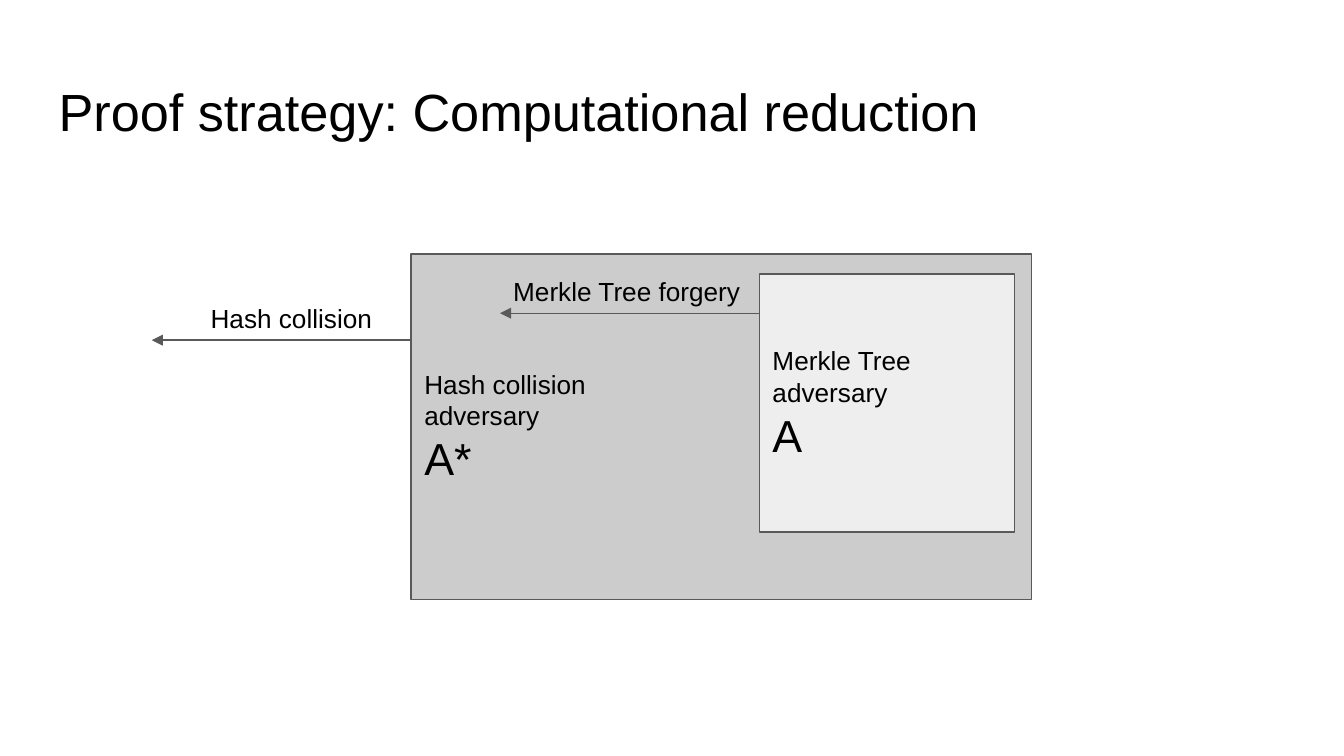
"""Build a slide on proof by computational reduction."""
from lxml.etree import SubElement
from pptx import Presentation
from pptx.dml.color import RGBColor
from pptx.enum.shapes import MSO_CONNECTOR, MSO_SHAPE
from pptx.enum.text import MSO_ANCHOR, PP_ALIGN
from pptx.oxml.ns import qn
from pptx.util import Cm, Pt


def paint(part, color):
    if hasattr(part, "solid"):
        part.solid()
        part.fore_color.rgb = RGBColor.from_string(color)
    else:
        part.color.rgb = RGBColor.from_string(color)


def write(shape, lines, anchor):
    frame = shape.text_frame
    pad = Cm(0.25)
    style = {"word_wrap": True, "vertical_anchor": anchor,
             "margin_left": pad, "margin_right": pad,
             "margin_top": pad, "margin_bottom": pad}
    for key, value in style.items():
        setattr(frame, key, value)
    for i, (text, size) in enumerate(lines):
        para = frame.add_paragraph() if i else frame.paragraphs[0]
        para.alignment = PP_ALIGN.LEFT
        run = para.add_run()
        run.text = text
        for key, value in {"name": "Arial", "size": Pt(size)}.items():
            setattr(run.font, key, value)
        paint(run.font, "000000")


deck = Presentation()
deck.slide_width, deck.slide_height = Cm(25.4), Cm(14.29)
slide = deck.slides.add_slide(deck.slide_layouts[6])
shapes = slide.shapes

boxes = [
    (7.77, 4.8, 11.73, 6.53, "CCCCCC",
     [("Hash collision", 14), ("adversary", 14), ("A*", 24)]),
    (14.35, 5.18, 4.83, 4.88, "EEEEEE",
     [("Merkle Tree adversary", 14), ("A", 24)]),
]
for *place, color, lines in boxes:
    box = shapes.add_shape(MSO_SHAPE.RECTANGLE, *map(Cm, place))
    box.shadow.inherit = False
    paint(box.fill, color)
    paint(box.line, "595959")
    box.line.width = Pt(0.75)
    write(box, lines, MSO_ANCHOR.MIDDLE)

for start, level in [(14.35, 5.92), (7.77, 6.43)]:
    arrow = shapes.add_connector(
        MSO_CONNECTOR.STRAIGHT,
        Cm(start), Cm(level), Cm(start - 4.9), Cm(level))
    paint(arrow.line, "595959")
    arrow.line.width = Pt(0.75)
    SubElement(arrow.line._get_or_add_ln(), qn("a:tailEnd"), type="triangle")
    SubElement(arrow._element.spPr, qn("a:effectLst"))

labels = [
    (0.86, 1.24, 23.67, 1.6, "Proof strategy: Computational reduction", 28),
    (9.45, 4.95, 11.58, 1.35, "Merkle Tree forgery", 14),
    (3.73, 5.46, 3.71, 1.35, "Hash collision", 14),
]
for *place, text, size in labels:
    label = shapes.add_textbox(*map(Cm, place))
    write(label, [(text, size)], MSO_ANCHOR.TOP)

deck.save("out.pptx")
